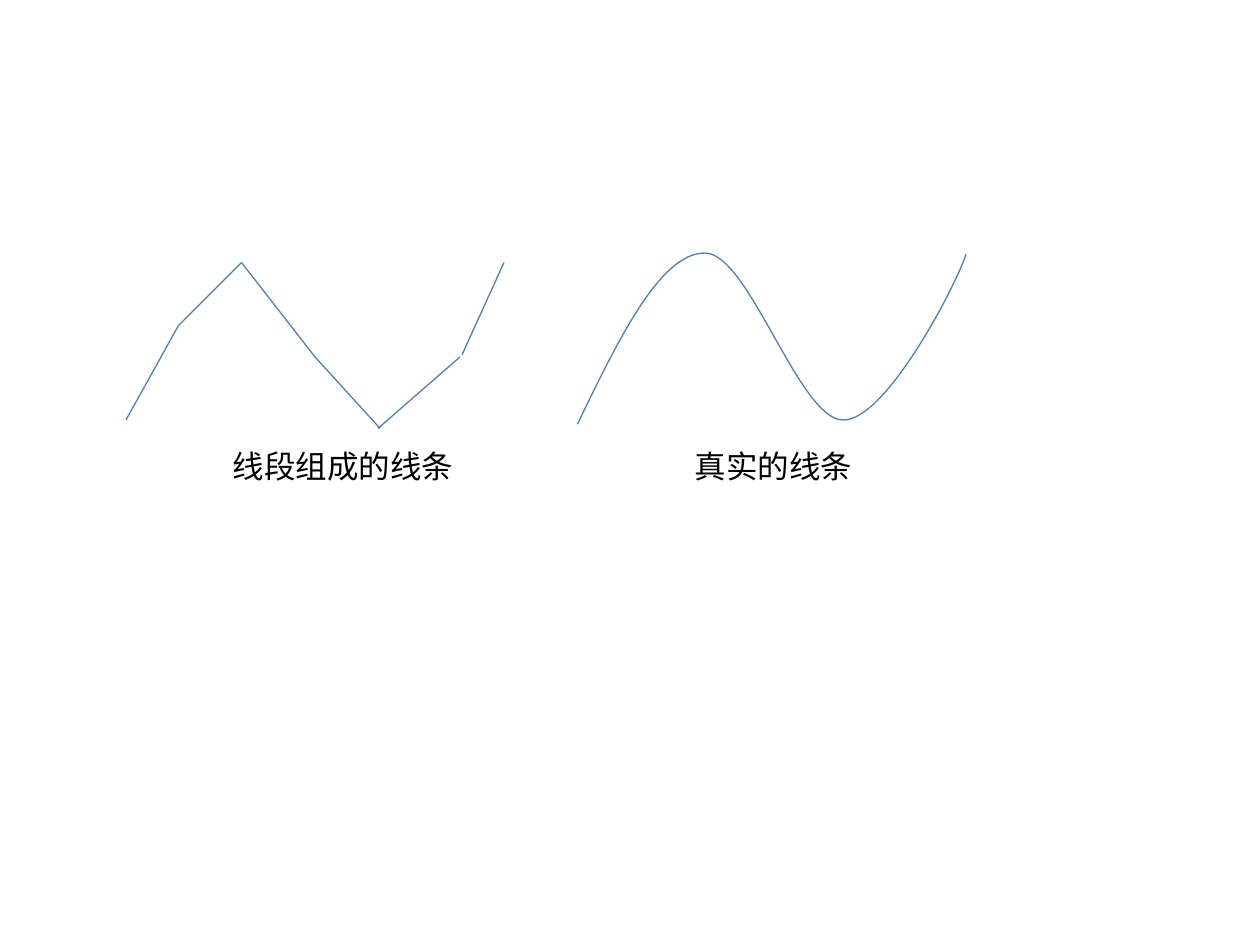
from dataclasses import dataclass

from lxml.etree import SubElement
from pptx import Presentation
from pptx.dml.color import RGBColor
from pptx.enum.shapes import MSO_CONNECTOR
from pptx.oxml.ns import qn
from pptx.slide import Slide
from pptx.util import Inches, Pt

CELL = Inches(1) // 12
LINE_COLOR = RGBColor(0x4B, 0x7E, 0xBC)
TEXT_COLOR = RGBColor(0, 0, 0)
LINE_WIDTH = Pt(0.75)
HANGING = Inches(0.38)


@dataclass(frozen=True)
class Point:
    column: float
    row: float

    def position(self) -> tuple[int, int]:
        return round(self.column * CELL), round(self.row * CELL)


@dataclass(frozen=True)
class Segment:
    start: Point
    end: Point


@dataclass(frozen=True)
class Caption:
    text: str
    corner: Point
    columns: int
    rows: int = 5


SEGMENTS = [
    Segment(Point(12, 40), Point(17, 31)),
    Segment(Point(17, 31), Point(23, 25)),
    Segment(Point(23, 25), Point(30, 34)),
    Segment(Point(30, 34), Point(36.2, 40.8)),
    Segment(Point(36, 40.8), Point(43.8, 34)),
    Segment(Point(44, 33.8), Point(48, 25)),
]
CURVE = [
    Point(55, 40.4),
    Point(58.9, 32.3), Point(62.9, 24.1), Point(67.1, 24.1),
    Point(71.3, 24), Point(76.1, 40), Point(80.3, 40),
    Point(84.4, 40.1), Point(91.2, 26.9), Point(92, 24.2),
]
CAPTIONS = [
    Caption("线段组成的线条", Point(21, 42), 25),
    Caption("真实的线条", Point(65, 42), 19),
]


def draw_segment(slide: Slide, segment: Segment) -> None:
    connector = slide.shapes.add_connector(
        MSO_CONNECTOR.STRAIGHT, *segment.start.position(), *segment.end.position()
    )
    connector.line.color.rgb = LINE_COLOR
    connector.line.width = LINE_WIDTH
    SubElement(connector._element.spPr, qn("a:effectLst"))


def draw_curve(slide: Slide, points: list[Point]) -> None:
    start, *controls = [point.position() for point in points]
    builder = slide.shapes.build_freeform(*start)
    builder.add_line_segments(controls, close=False)
    shape = builder.convert_to_shape()
    shape.shadow.inherit = False
    shape.fill.background()
    shape.line.color.rgb = LINE_COLOR
    shape.line.width = LINE_WIDTH
    outline = next(shape._element.iter(qn("a:path")))
    lines = outline.findall(qn("a:lnTo"))
    for first in range(0, len(lines), 3):
        bezier = SubElement(outline, qn("a:cubicBezTo"))
        for line in lines[first:first + 3]:
            bezier.append(line[0])
            outline.remove(line)


def draw_caption(slide: Slide, caption: Caption) -> None:
    text_box = slide.shapes.add_textbox(
        *caption.corner.position(), caption.columns * CELL, caption.rows * CELL
    )
    text_box.text_frame.word_wrap = True
    paragraph = text_box.text_frame.paragraphs[0]
    paragraph.text = caption.text
    properties = paragraph._p.get_or_add_pPr()
    properties.set("marL", str(HANGING))
    properties.set("indent", str(-HANGING))
    paragraph.font.name = "Calibri"
    paragraph.font.size = Pt(18)
    paragraph.font.color.rgb = TEXT_COLOR


def main() -> None:
    presentation = Presentation()
    presentation.slide_width = 120 * CELL
    presentation.slide_height = 90 * CELL
    slide = presentation.slides.add_slide(presentation.slide_layouts[6])
    draw_curve(slide, CURVE)
    for segment in SEGMENTS:
        draw_segment(slide, segment)
    for caption in CAPTIONS:
        draw_caption(slide, caption)
    presentation.save("out.pptx")


if __name__ == "__main__":
    main()
